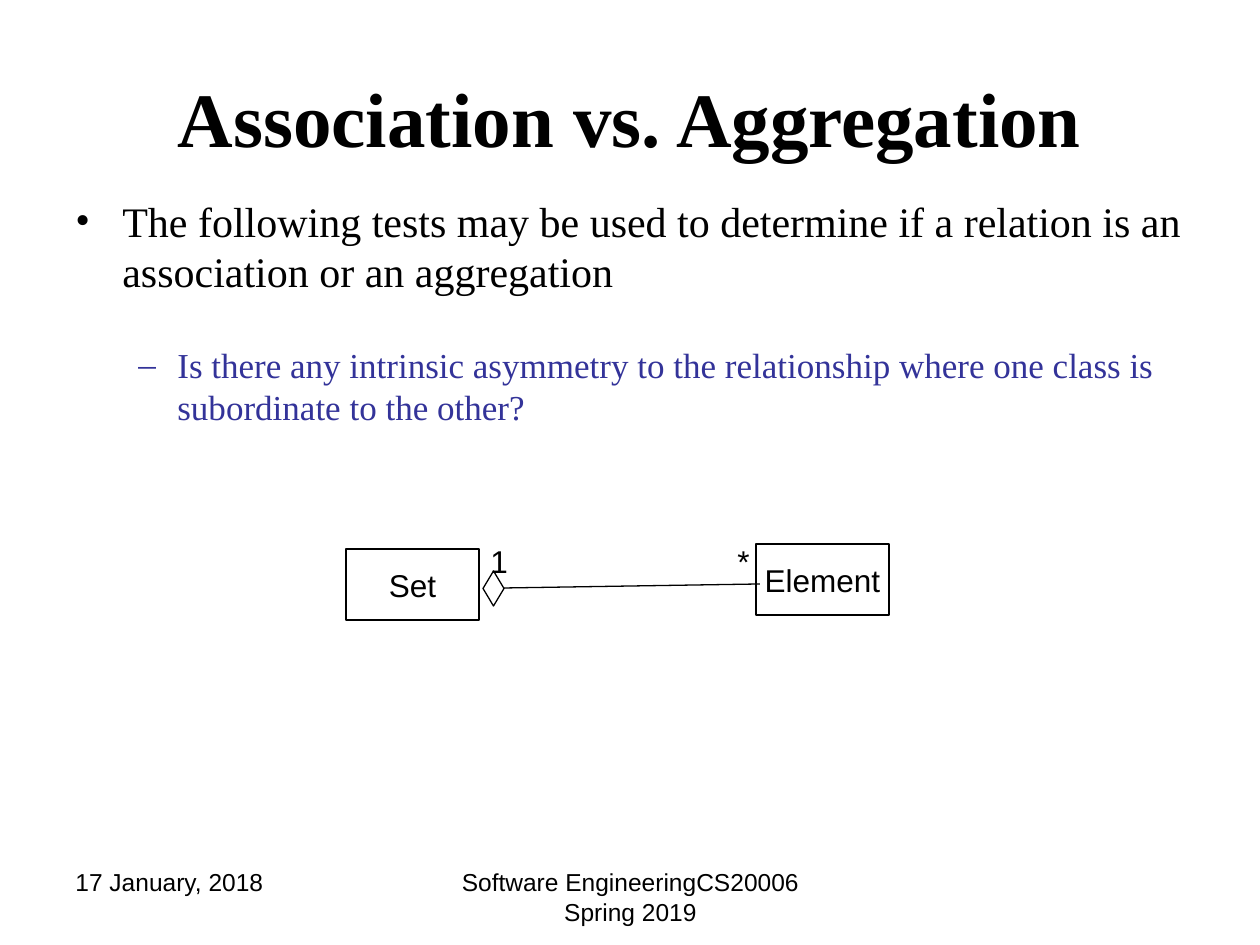
from pptx import Presentation
from pptx.dml.color import RGBColor
from pptx.enum.shapes import MSO_CONNECTOR as Conn, MSO_SHAPE as Shape
from pptx.enum.text import MSO_ANCHOR as Anchor, PP_ALIGN as Align
from pptx.oxml.ns import qn
from pptx.util import Pt
from lxml.etree import SubElement

SCALE = 914400 / 126
INK = {"black": "000000", "blue": "333399"}
SERIF, SANS = "Times New Roman", "Arial"


def px(*nums):
    return [round(n * SCALE) for n in nums]


def color(name):
    return RGBColor.from_string(INK[name])


def write(para, text, size=18, font=SANS, ink="black", bold=False, align=Align.LEFT):
    run = para.add_run()
    run.text = text
    face = run.font
    face.size, face.name, face.bold = Pt(size), font, bold
    face.color.rgb = color(ink)
    para.alignment = align


def label(slide, text, x, y, w, h, wrap=True, **form):
    frame = slide.shapes.add_textbox(*px(x, y, w, h)).text_frame
    frame.word_wrap = wrap
    write(frame.paragraphs[0], text, **form)
    return frame


def bullet(para, mark, left, hang, gap, level=0):
    para.level = level
    para.space_before = Pt(gap)
    props = para._p.get_or_add_pPr()
    margin, indent = px(left, -hang)
    props.set("marL", str(margin))
    props.set("indent", str(indent))
    SubElement(props, qn("a:buFont"), typeface=SERIF)
    SubElement(props, qn("a:buChar"), char=mark)


def outline(slide, kind, x, y, w, h):
    shape = slide.shapes.add_shape(kind, *px(x, y, w, h))
    shape.shadow.inherit = False
    shape.fill.background()
    shape.line.color.rgb = color("black")
    shape.line.width = Pt(0.75)
    return shape


def box(slide, name, x, y):
    frame = outline(slide, Shape.RECTANGLE, x, y, 133, 71).text_frame
    frame.word_wrap = False
    frame.vertical_anchor = Anchor.MIDDLE
    write(frame.paragraphs[0], name, align=Align.CENTER)


def link(slide, *ends):
    line = slide.shapes.add_connector(Conn.STRAIGHT, *px(*ends))
    line.line.color.rgb = color("black")
    line.line.width = Pt(0.75)
    SubElement(line._element.spPr, qn("a:effectLst"))


def head(slide, text):
    title = slide.shapes.title
    title.left, title.top, title.width, title.height = px(63, 38, 1134, 157)
    title.text_frame.vertical_anchor = Anchor.MIDDLE
    write(title.text_frame.paragraphs[0], text, size=44, font=SERIF,
          bold=True, align=Align.CENTER)


def main():
    deck = Presentation()
    deck.slide_width, deck.slide_height = px(1260, 945)
    slide = deck.slides.add_slide(deck.slide_layouts[5])

    # Title and bullets
    head(slide, "Association vs. Aggregation")
    body = label(slide, "The following tests may be used to determine if a relation "
                 "is an association or an aggregation",
                 63, 189, 1134, 655, size=24, font=SERIF)
    bullet(body.paragraphs[0], "•", left=47, hang=47, gap=5)
    test = body.add_paragraph()
    write(test, "Is there any intrinsic asymmetry to the relationship where one "
          "class is subordinate to the other?", size=20, font=SERIF, ink="blue")
    bullet(test, "–", left=102, hang=39, gap=27, level=1)

    # Aggregation diagram
    box(slide, "Set", 346, 549)
    box(slide, "Element", 756, 544)
    link(slide, 504, 588, 760, 584)
    label(slide, "1", 478, 536, 205, 50)
    label(slide, "*", 725, 536, 38, 50, wrap=False)
    outline(slide, Shape.FLOWCHART_DECISION, 483, 571, 21, 35)

    # Footer
    label(slide, "17 January, 2018", 63, 861, 294, 65, size=14)
    label(slide, "Software EngineeringCS20006 Spring 2019",
          431, 861, 399, 65, size=14, align=Align.CENTER)

    deck.save("out.pptx")


if __name__ == "__main__":
    main()
